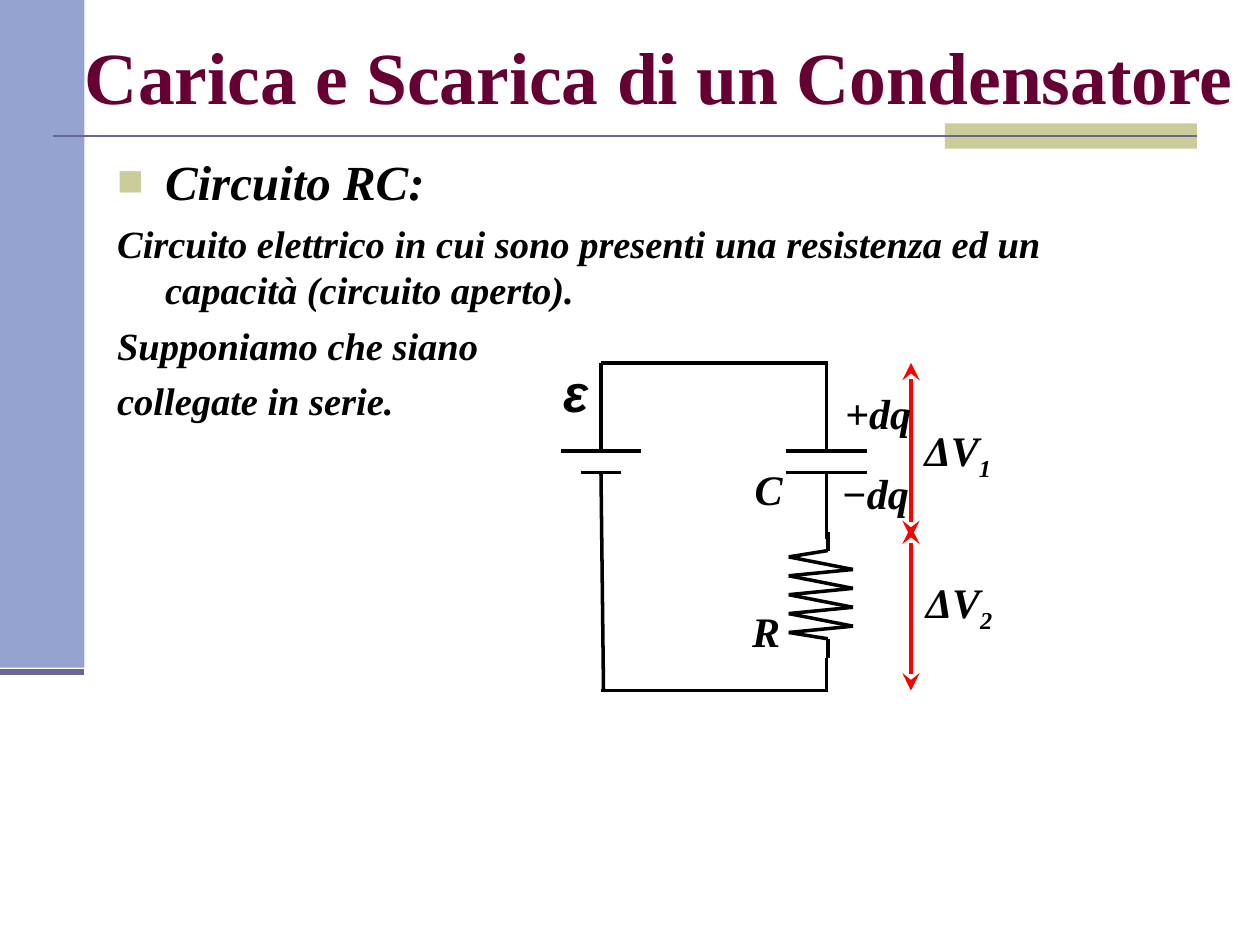
from itertools import pairwise

from lxml import etree
from pptx import Presentation
from pptx.dml.color import RGBColor
from pptx.enum.shapes import MSO_CONNECTOR, MSO_SHAPE
from pptx.enum.text import MSO_ANCHOR, MSO_AUTO_SIZE, PP_ALIGN
from pptx.oxml.ns import qn
from pptx.util import Inches, Pt

STRAIGHT = MSO_CONNECTOR.STRAIGHT
RECTANGLE = MSO_SHAPE.RECTANGLE
CENTER = PP_ALIGN.CENTER
TOP, MIDDLE = MSO_ANCHOR.TOP, MSO_ANCHOR.MIDDLE
NO_FIT, GROW = MSO_AUTO_SIZE.NONE, MSO_AUTO_SIZE.SHAPE_TO_FIT_TEXT
RIGHT_SIDE = 3

COLORS = {
    "sidebar": "95A3D1",
    "accent": "CCCC99",
    "rule": "666699",
    "title": "660033",
    "ink": "000000",
    "voltage": "FF0000",
}
SERIF, SANS = "Times New Roman", "Arial"


def color(name):
    return RGBColor.from_string(COLORS[name])


def add_run(paragraph, text, size, ink="ink", font=SERIF, italic=True):
    run = paragraph.add_run()
    run.text = text
    run.font.name = font
    run.font.size = Pt(size)
    run.font.bold = True
    run.font.italic = italic
    run.font.color.rgb = color(ink)
    return run


def add_line(slide, start, end, ink="ink", width=2, arrows=False):
    line = slide.shapes.add_connector(STRAIGHT, *map(Inches, start + end))
    line.line.color.rgb = color(ink)
    line.line.width = Pt(width)
    if arrows:
        outline = line.line._get_or_add_ln()
        for tag in ("a:headEnd", "a:tailEnd"):
            etree.SubElement(outline, qn(tag), type="stealth", w="lg", len="lg")
    etree.SubElement(line._element.spPr, qn("a:effectLst"))
    return line


def add_block(slide, box, fill):
    block = slide.shapes.add_shape(RECTANGLE, *map(Inches, box))
    block.shadow.inherit = False
    block.fill.solid()
    block.fill.fore_color.rgb = color(fill)
    block.line.fill.background()
    return block


def add_label(slide, box, text, subscript="", size=24, font=SERIF):
    label = slide.shapes.add_textbox(*map(Inches, box))
    label.text_frame.word_wrap = False
    label.text_frame.auto_size = GROW
    paragraph = label.text_frame.paragraphs[0]
    add_run(paragraph, text, size, font=font)
    if subscript:
        index = add_run(paragraph, subscript, size, font=font)
        index.font._element.set("baseline", "-25000")


def place(placeholder, box, anchor):
    (placeholder.left, placeholder.top,
     placeholder.width, placeholder.height) = map(Inches, box)
    frame = placeholder.text_frame
    frame.word_wrap = True
    frame.auto_size = NO_FIT
    frame.vertical_anchor = anchor
    return frame


def add_decoration(slide, box):
    left, top, width, height = box
    foot = top + height + 0.03
    # Sidebar and its foot rule
    add_block(slide, box, "sidebar")
    add_line(slide, (left, foot), (left + width, foot), "rule", 3.5)
    # Title rule ending on the accent bar
    accent = add_block(slide, (7.5, 0.98, 2, 0.2), "accent")
    title_rule = add_line(slide, (0.42, 1.08), (9.5, 1.08), "rule", 1.5)
    title_rule.end_connect(accent, RIGHT_SIDE)


def fill_title(slide, box):
    paragraph = place(slide.shapes.title, box, MIDDLE).paragraphs[0]
    paragraph.alignment = CENTER
    add_run(paragraph, "Carica e Scarica di un Condensatore", 42, "title", italic=False)


def set_bullet(properties, bullet):
    if not bullet:
        etree.SubElement(properties, qn("a:buNone"))
        return
    bullet_color = etree.SubElement(properties, qn("a:buClr"))
    etree.SubElement(bullet_color, qn("a:srgbClr"), val=COLORS["accent"])
    etree.SubElement(properties, qn("a:buSzPct"), val="90000")
    etree.SubElement(properties, qn("a:buFont"), typeface=SANS)
    etree.SubElement(properties, qn("a:buChar"), char=bullet)


def fill_body(slide, box):
    frame = place(slide.placeholders[1], box, TOP)
    lines = [
        ("Circuito RC:", 28, "■", 0),
        ("Circuito elettrico in cui sono presenti una resistenza ed un "
         "capacità (circuito aperto).", 22, None, 5.5),
        ("Supponiamo che siano", 22, None, 5.5),
        ("collegate in serie.", 22, None, 5.5),
    ]
    for number, (text, size, bullet, space) in enumerate(lines):
        paragraph = frame.add_paragraph() if number else frame.paragraphs[0]
        properties = paragraph._p.get_or_add_pPr()
        properties.set("marL", str(Inches(0.38)))
        properties.set("indent", str(-Inches(0.38)))
        set_bullet(properties, bullet)
        paragraph.space_before = Pt(space)
        add_run(paragraph, text, size)


def add_resistor(slide, box):
    left, top, width, height = box
    right, bottom = left + width, top + height
    axis, lead, pitch, turns = left + 0.31, 0.15, 0.15, 4
    first = top + lead + 0.05
    zigzag = [(axis, top), (axis, top + lead)]
    for turn in range(turns):
        y = first + turn * pitch
        zigzag += [(left, y), (right, y + 0.1)]
    zigzag += [(left, first + turns * pitch), (axis, bottom - lead), (axis, bottom)]
    for start, end in pairwise(zigzag):
        add_line(slide, start, end)


def add_circuit(slide, box):
    left, top, width, height = box
    right, bottom = left + width, top + height
    upper_plate, lower_plate = top + 0.7, top + 0.87
    resistor_top, resistor_bottom = top + 1.34, top + 2.34

    # Battery and capacitor plates
    for axis, y, half in [
        (left, upper_plate, 0.32), (left, lower_plate, 0.16),
        (right, upper_plate, 0.32), (right, lower_plate, 0.32),
    ]:
        add_line(slide, (axis - half, y), (axis + half, y))

    # Wires
    for start, end in [
        ((left, upper_plate), (left, top)),
        ((left + 0.02, bottom), (left, lower_plate)),
        ((right, upper_plate), (right, top)),
        ((right, resistor_top + 0.06), (right, lower_plate)),
        ((right, bottom), (right, resistor_bottom)),
        ((right + 0.01, bottom), (left, bottom)),
        ((right + 0.01, top), (left, top)),
    ]:
        add_line(slide, start, end)

    add_resistor(slide, (right - 0.3, resistor_top, 0.51, 1))

    # Voltage drops
    gauge = right + 0.67
    for start, end in [(top, top + 1.39), (top + 1.3, bottom)]:
        add_line(slide, (gauge, start), (gauge, end), "voltage", arrows=True)

    # Labels
    add_label(slide, (5.89, 3.63, 0.42, 0.5), "C")
    add_label(slide, (5.87, 4.76, 0.42, 0.5), "R")
    add_label(slide, (6.61, 3.03, 0.72, 0.5), "+dq")
    add_label(slide, (6.58, 3.66, 0.75, 0.5), "−dq")
    add_label(slide, (7.24, 3.32, 0.73, 0.56), "ΔV", "1")
    add_label(slide, (7.25, 4.53, 0.73, 0.56), "ΔV", "2")
    add_label(slide, (4.37, 2.81, 0.55, 0.6), "ε", size=30, font=SANS)


def main():
    prs = Presentation()
    prs.slide_width, prs.slide_height = Inches(10), Inches(7.5)
    slide = prs.slides.add_slide(prs.slide_layouts[1])
    add_decoration(slide, (0, -0.03, 0.67, 5.33))
    fill_title(slide, (0.35, 0.28, 9.76, 0.63))
    fill_body(slide, (0.83, 1.15, 8.5, 4.95))
    add_circuit(slide, (4.77, 2.88, 1.79, 2.6))
    prs.save("out.pptx")


if __name__ == "__main__":
    main()
